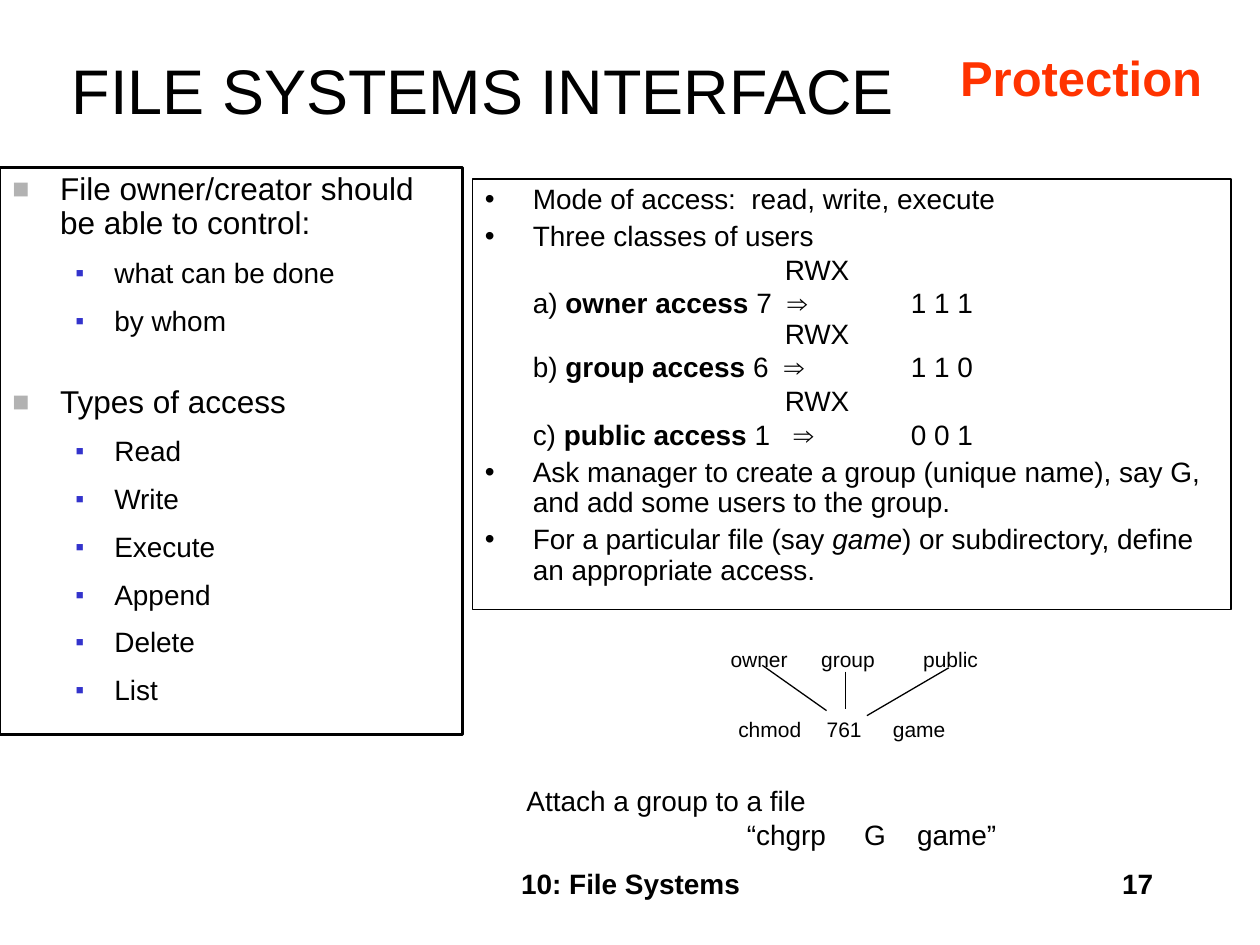
from lxml import etree
from pptx import Presentation
from pptx.dml.color import RGBColor
from pptx.enum.shapes import MSO_CONNECTOR, MSO_SHAPE
from pptx.enum.text import MSO_ANCHOR, MSO_AUTO_SIZE, PP_ALIGN
from pptx.oxml.ns import qn
from pptx.util import Inches, Pt

BLACK = RGBColor(0x00, 0x00, 0x00)
ORANGE = RGBColor(0xFF, 0x33, 0x00)
GREY = RGBColor(0xB2, 0xB2, 0xB2)
BLUE = RGBColor(0x33, 0x33, 0xCC)


def add_xml(parent, tag, **attributes):
    return etree.SubElement(parent, qn(tag), attributes)


def add_bullet(paragraph, char, color, percent):
    properties = paragraph._p.get_or_add_pPr()
    add_xml(add_xml(properties, "a:buClr"), "a:srgbClr", val=str(color))
    add_xml(properties, "a:buSzPct", val=str(percent * 1000))
    add_xml(properties, "a:buFont", typeface="Arial")
    add_xml(properties, "a:buChar", char=char)


def add_tabs(paragraph, stops):
    tabs = add_xml(paragraph._p.get_or_add_pPr(), "a:tabLst")
    for stop in stops:
        add_xml(tabs, "a:tab", pos=str(Inches(stop)), algn="l")


def format_paragraph(paragraph, left=0, hanging=0, **formats):
    properties = paragraph._p.get_or_add_pPr()
    for name, length in {"marL": left, "indent": -hanging, "defTabSz": 1}.items():
        properties.set(name, str(Inches(length)))
    for name, value in formats.items():
        setattr(paragraph, name, value)


def add_runs(paragraph, runs, size, color=BLACK, bold=False):
    """Each run is a text and the name of its emphasis, or None."""
    for text, emphasis in runs:
        run = paragraph.add_run()
        run.text = text
        for name, value in {"name": "Arial", "size": Pt(size), "bold": bold}.items():
            setattr(run.font, name, value)
        run.font.color.rgb = color
        if emphasis:
            setattr(run.font, emphasis, True)


def add_label(slide, box, text, size, align=PP_ALIGN.CENTER, color=BLACK,
              bold=False, wrap=True, anchor=MSO_ANCHOR.TOP, stops=()):
    frame = slide.shapes.add_textbox(*map(Inches, box)).text_frame
    frame.word_wrap = wrap
    frame.vertical_anchor = anchor
    if not wrap:
        # Side margins off, so that the text always fits its box
        frame.auto_size = MSO_AUTO_SIZE.SHAPE_TO_FIT_TEXT
        frame.margin_left = frame.margin_right = Inches(0)
    paragraph = frame.paragraphs[0]
    if stops:
        add_tabs(paragraph, stops)
    paragraph.alignment = align
    add_runs(paragraph, [(text, None)], size, color, bold)


def add_panel(slide, box, line_width):
    panel = slide.shapes.add_shape(MSO_SHAPE.RECTANGLE, *map(Inches, box))
    panel.shadow.inherit = False
    panel.fill.background()
    panel.line.color.rgb = BLACK
    panel.line.width = Pt(line_width)
    panel.text_frame.word_wrap = True
    panel.text_frame.vertical_anchor = MSO_ANCHOR.TOP
    return panel.text_frame


def next_paragraph(frame, index):
    return frame.add_paragraph() if index else frame.paragraphs[0]


def add_header(slide, box):
    left, top, width, height = box
    add_label(slide, (left, top, 7.33, height), "FILE SYSTEMS INTERFACE", 36,
              anchor=MSO_ANCHOR.MIDDLE)
    add_label(slide, (left + width - 2.12, top + 0.08, 2.12, 0.57), "Protection", 28,
              color=ORANGE, bold=True, wrap=False)


def add_control_panel(slide, box):
    topics = {
        "File owner/creator should be able to control:": ["what can be done", "by whom"],
        "Types of access": ["Read", "Write", "Execute", "Append", "Delete", "List"],
    }
    frame = add_panel(slide, box, 1.5)
    for index, (topic, items) in enumerate(topics.items()):
        heading = next_paragraph(frame, index)
        add_bullet(heading, "■", GREY, 90)
        format_paragraph(heading, 0.38, 0.38, alignment=PP_ALIGN.LEFT,
                         line_spacing=0.9, space_before=Pt(28 if index else 0))
        add_runs(heading, [(topic, None)], 18)
        for item in items:
            entry = frame.add_paragraph()
            add_bullet(entry, "▪", BLUE, 90)
            format_paragraph(entry, 0.81, 0.31, alignment=PP_ALIGN.LEFT,
                             line_spacing=0.9, space_before=Pt(10))
            add_runs(entry, [(item, None)], 16)


def add_mode_panel(slide, box):
    bits_heading = [("\t\t\tRWX", None)]
    # Space before, bulleted, runs
    lines = [
        (0, True, [("Mode of access:  read, write, execute", None)]),
        (4, True, [("Three classes of users", None)]),
    ]
    classes = [("a", "owner", " 7  ⇒\t1 1 1", 2), ("b", "group", " 6  ⇒\t1 1 0", 0),
               ("c", "public", " 1   ⇒\t0 0 1", 2)]
    for letter, user, bits, space in classes:
        lines += [(space, False, bits_heading),
                  (2, False, [(f"\t{letter}) ", None), (f"{user} access", "bold"), (bits, None)])]
    lines += [
        (4, True, [("Ask manager to create a group (unique name), say G, "
                    "and add some users to the group.", None)]),
        (4, True, [("For a particular file (say ", None), ("game", "italic"),
                   (") or subdirectory, define an appropriate access.", None)]),
    ]
    frame = add_panel(slide, box, 0.75)
    for index, (space, bulleted, runs) in enumerate(lines):
        paragraph = next_paragraph(frame, index)
        if bulleted:
            add_bullet(paragraph, "•", BLACK, 100)
        format_paragraph(paragraph, 0.38, 0.38, alignment=PP_ALIGN.LEFT,
                         line_spacing=0.9, space_before=Pt(space))
        add_runs(paragraph, runs, 16)


def add_chmod_diagram(slide, box):
    left, top, _, height = box
    rows = {
        top: [("owner", 0, 0.65), ("group", 0.72, 0.62), ("public", 1.53, 0.63)],
        top + height - 0.3: [("chmod", 0.06, 0.7), ("761", 0.76, 0.48), ("game", 1.29, 0.61)],
    }
    for row_top, words in rows.items():
        for word, offset, width in words:
            add_label(slide, (left + offset, row_top, width, 0.3), word, 12,
                      wrap=False, anchor=MSO_ANCHOR.MIDDLE)
    # Lines from each user class to its digit
    for x1, y1, x2, y2 in [(0.35, 0.2, 0.86, 0.56), (1.01, 0.25, 1.01, 0.55),
                           (1.83, 0.22, 1.18, 0.6)]:
        link = slide.shapes.add_connector(
            MSO_CONNECTOR.STRAIGHT, Inches(left + x1), Inches(top + y1),
            Inches(left + x2), Inches(top + y2))
        link.line.color.rgb = BLACK
        link.line.width = Pt(0.75)
        add_xml(link._element.spPr, "a:effectLst")


def add_attach_note(slide, box):
    left, top, width, height = box
    add_label(slide, (left, top, width, height / 2), "Attach a group to a file", 16,
              PP_ALIGN.LEFT)
    add_label(slide, (left + 1.75, top + 0.27, width - 1.75, height / 2),
              "“chgrp\tG\tgame”", 16, PP_ALIGN.LEFT, stops=(0.93, 1.35))


def add_footer(slide, box):
    left, top, width, height = box
    add_label(slide, (left, top, 3.17, height), "10: File Systems", 16, bold=True)
    add_label(slide, (left + width - 2.08, top, 2.08, height), "17", 16,
              PP_ALIGN.RIGHT, bold=True)


def main():
    presentation = Presentation()
    presentation.slide_width, presentation.slide_height = Inches(10), Inches(7.5)
    slide = presentation.slides.add_slide(presentation.slide_layouts[6])
    add_footer(slide, (3.42, 6.83, 5.83, 0.5))
    add_header(slide, (0.17, 0.25, 9.47, 0.92))
    add_control_panel(slide, (0, 1.33, 3.67, 4.5))
    add_mode_panel(slide, (3.75, 1.42, 6.02, 3.42))
    add_chmod_diagram(slide, (5.7, 5.08, 2.16, 0.86))
    add_attach_note(slide, (4.08, 6.17, 4.62, 0.88))
    presentation.save("out.pptx")


if __name__ == "__main__":
    main()
